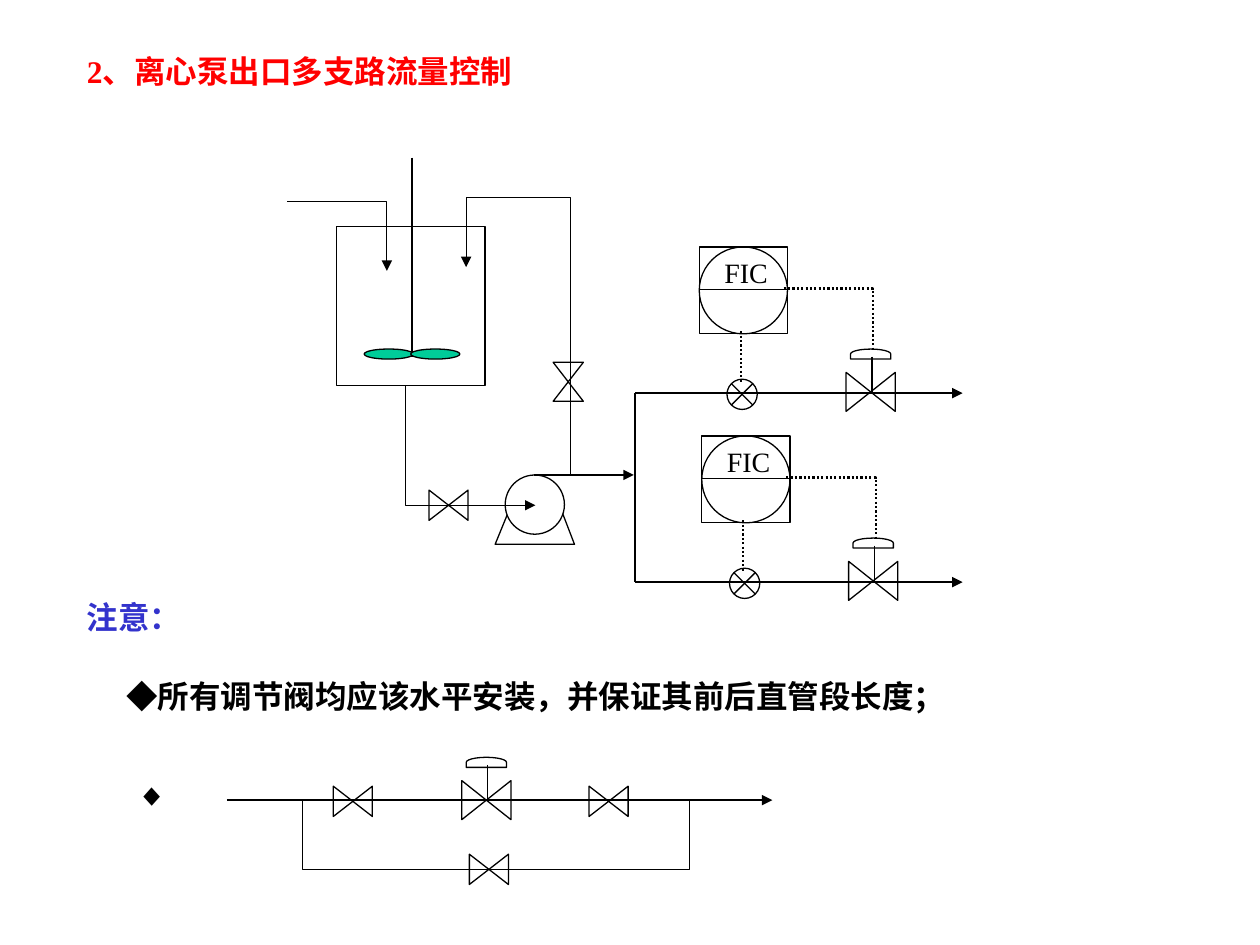
from lxml.etree import SubElement
from pptx import Presentation
from pptx.dml.color import RGBColor
from pptx.enum.dml import MSO_LINE
from pptx.enum.shapes import MSO_CONNECTOR, MSO_SHAPE
from pptx.enum.text import MSO_ANCHOR, MSO_AUTO_SIZE, PP_ALIGN
from pptx.oxml.ns import qn
from pptx.util import Inches, Pt

RED = RGBColor(0xFF, 0x00, 0x00)
BLUE = RGBColor(0x33, 0x33, 0xCC)
GREEN = RGBColor(0x00, 0xCC, 0x99)
BLACK = RGBColor(0x00, 0x00, 0x00)
WHITE = RGBColor(0xFF, 0xFF, 0xFF)
FONT = "Times New Roman"

HEADING = "2、离心泵出口多支路流量控制"
NOTE_LABEL = "注意："
NOTE = "◆所有调节阀均应该水平安装，并保证其前后直管段长度；"
MARKER = "◆"
CONTROLLER = "FIC"

BRANCHES = [(5.57, 3.46), (5.55, 1.96)]
HEADER_X, BRANCH_END = 5.04, 7.64
BRANCH_YS = [3.12, 4.62]
BYPASS_Y, BYPASS_DROP = 6.35, 0.55
VALVES = [(3.56, 4.01, 90), (4.51, 3.03, 180),
          (2.8, 6.36, 90), (4.83, 6.36, 90), (3.88, 6.9, 90)]
BLADE_LEFTS = [2.89, 3.26]

prs = Presentation()
prs.slide_width, prs.slide_height = Inches(10), Inches(7.5)
slide = prs.slides.add_slide(prs.slide_layouts[1])
shapes = slide.shapes


def write(holder, box, text, size, color, bold=False, wrap=True):
    holder.left, holder.top, holder.width, holder.height = map(Inches, box)
    frame = holder.text_frame
    frame.auto_size = MSO_AUTO_SIZE.NONE
    frame.word_wrap = wrap
    frame.vertical_anchor = MSO_ANCHOR.TOP
    paragraph = frame.paragraphs[0]
    properties = paragraph._p.get_or_add_pPr()
    properties.set("marL", "0")
    properties.set("indent", "0")
    SubElement(properties, qn("a:buNone"))
    paragraph.alignment = PP_ALIGN.LEFT
    paragraph.space_before = Pt(0)
    run = paragraph.add_run()
    run.text = text
    run.font.name, run.font.size, run.font.bold = FONT, Pt(size), bold
    run.font.color.rgb = color


def label(box, text, size, color, bold=False):
    write(shapes.add_textbox(0, 0, 0, 0), box, text, size, color, bold, False)


def outline(item, arrow=False, dotted=False):
    item.line.color.rgb = BLACK
    item.line.width = Pt(1.25 if dotted else 0.75)
    if dotted:
        item.line.dash_style = MSO_LINE.ROUND_DOT
    if arrow:
        SubElement(item.line._get_or_add_ln(), qn("a:tailEnd"), type="triangle")


def part(kind, left, top, width, height, turn=0, fill=None):
    item = shapes.add_shape(kind, *map(Inches, (left, top, width, height)))
    item.shadow.inherit = False
    item.rotation = turn
    if fill is None:
        item.fill.background()
    else:
        item.fill.solid()
        item.fill.fore_color.rgb = fill
    outline(item)


def centred(kind, x, y, width, height, turn):
    part(kind, x - width / 2, y - height / 2, width, height, turn)


def pipe(start, end, arrow=False, dotted=False):
    item = shapes.add_connector(MSO_CONNECTOR.STRAIGHT, *map(Inches, (*start, *end)))
    SubElement(item._element.spPr, qn("a:effectLst"))
    outline(item, arrow, dotted)


def bent(points, arrow=False, dotted=False, closed=False):
    corners = [(Inches(x), Inches(y)) for x, y in points]
    builder = shapes.build_freeform(*corners[0], scale=1.0)
    builder.add_line_segments(corners[1:], close=closed)
    item = builder.convert_to_shape()
    item.shadow.inherit = False
    item.fill.background()
    outline(item, arrow, dotted)


def control_valve(x, y):
    centred(MSO_SHAPE.FLOWCHART_COLLATE, x, y, 0.31, 0.39, 270)
    pipe((x + 0.01, y - 0.28), (x + 0.01, y))
    centred(MSO_SHAPE.FLOWCHART_DELAY, x, y - 0.3, 0.08, 0.32, 270)


def flow_loop(x, y):
    control_valve(x + 1.36, y + 1.15)
    part(MSO_SHAPE.FLOWCHART_SUMMING_JUNCTION, x + 0.22, y + 1.05, 0.24, 0.24)
    for kind in (MSO_SHAPE.RECTANGLE, MSO_SHAPE.OVAL):
        part(kind, x, y, 0.7, 0.69)
    pipe((x, y + 0.34), (x + 0.7, y + 0.34))
    label((x + 0.1, y + 0.02, 0.56, 0.37), CONTROLLER, 16, BLACK)
    pipe((x + 0.33, y + 0.67), (x + 0.33, y + 1.07), dotted=True)
    bent([(x + 0.67, y + 0.33), (x + 1.38, y + 0.33), (x + 1.38, y + 0.8)], dotted=True)


write(shapes.title, (0.59, 0.36, 4.72, 0.4), HEADING, 18, RED, True)
write(slide.placeholders[1], (0.9, 5.32, 8.82, 0.4), NOTE, 18, BLACK, True)
label((0.59, 4.7, 1.26, 0.4), NOTE_LABEL, 18, BLUE, True)
label((0.98, 6.11, 0.55, 0.4), MARKER, 18, BLACK)

part(MSO_SHAPE.RECTANGLE, 2.67, 1.8, 1.18, 1.26)
pipe((3.27, 1.25), (3.27, 2.83))
for blade_left in BLADE_LEFTS:
    part(MSO_SHAPE.OVAL, blade_left, 2.77, 0.39, 0.08, fill=GREEN)
bent([(2.28, 1.6), (3.07, 1.6), (3.07, 2.15)], arrow=True)

bent([(4.56, 4.32), (4.41, 3.93), (4.09, 3.93), (3.93, 4.32)], closed=True)
part(MSO_SHAPE.OVAL, 4.01, 3.77, 0.47, 0.47, fill=WHITE)
bent([(3.22, 3.06), (3.22, 4.01), (4.25, 4.01)], arrow=True)
bent([(4.53, 3.77), (4.53, 1.57), (3.7, 1.57), (3.7, 2.12)], arrow=True)
pipe((4.24, 3.77), (5.03, 3.77), arrow=True)

pipe((HEADER_X, BRANCH_YS[0]), (HEADER_X, BRANCH_YS[1]))
for branch_y in BRANCH_YS:
    pipe((HEADER_X, branch_y), (BRANCH_END, branch_y), arrow=True)
for branch in BRANCHES:
    flow_loop(*branch)

control_valve(3.86, BYPASS_Y)
pipe((1.8, BYPASS_Y), (6.13, BYPASS_Y), arrow=True)
bent([(2.4, BYPASS_Y), (2.4, BYPASS_Y + BYPASS_DROP),
      (5.47, BYPASS_Y + BYPASS_DROP), (5.47, BYPASS_Y)])
for x, y, turn in VALVES:
    centred(MSO_SHAPE.FLOWCHART_COLLATE, x, y, 0.24, 0.31, turn)

prs.save("out.pptx")
